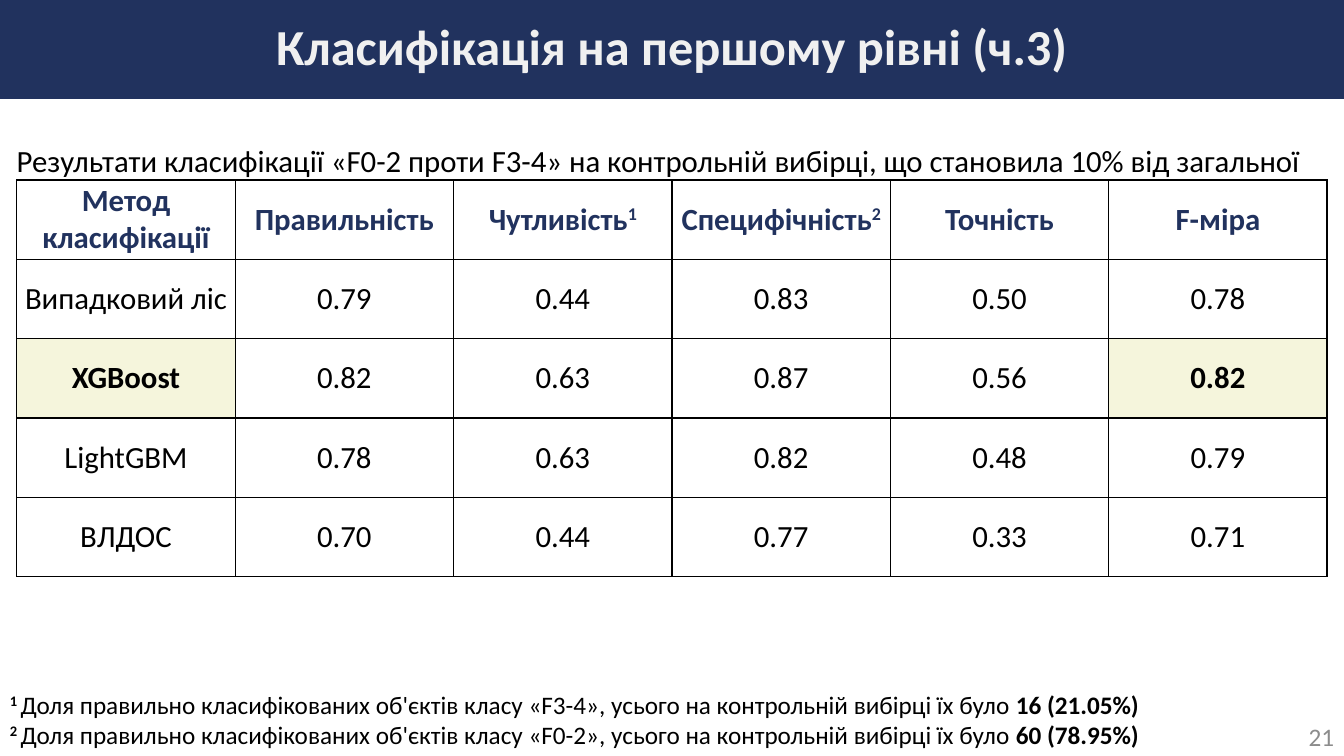
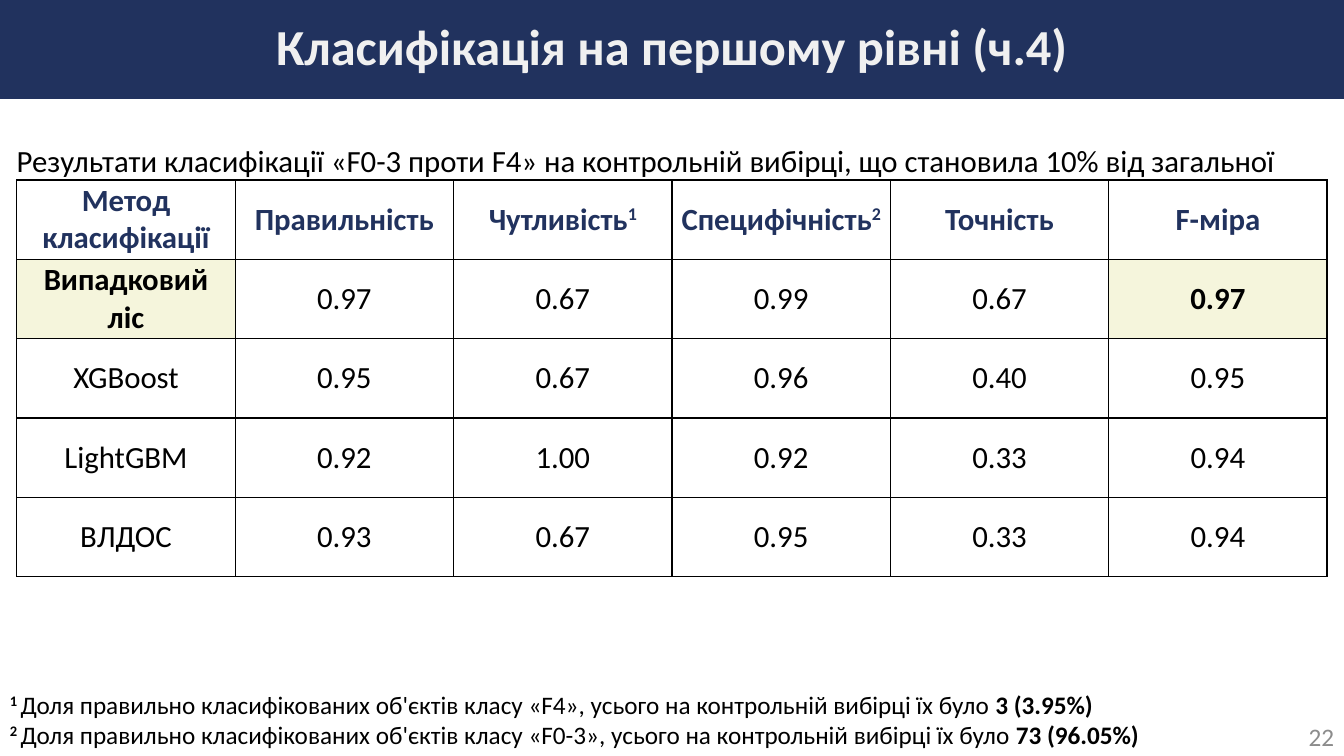
from dataclasses import dataclass

from lxml import etree
from pptx import Presentation, util as u
from pptx.dml.color import RGBColor
from pptx.enum import shapes, text
from pptx.oxml.ns import qn


@dataclass(frozen=True)
class Theme:
    font: str = "Calibri"
    navy: str = "21325E"
    pale: str = "F0F0F0"
    black: str = "000000"
    gray: str = "8C8C8C"
    beige: str = "F5F5DC"
    title_size: int = 36
    body_size: int = 22
    note_size: int = 18


THEME = Theme()
HEADER = ["Метод класифікації", "Правильність", "Чутливість^1",
          "Специфічність^2", "Точність", "F-міра"]
METHODS = ["Випадковий ліс", "XGBoost", "LightGBM", "ВЛДОС"]
SLIDES = [
    {
        "number": 21, "part": 3, "versus": "F0-2 проти F3-4", "best": "XGBoost",
        "scores": ["0.79 0.44 0.83 0.50 0.78", "0.82 0.63 0.87 0.56 0.82",
                   "0.78 0.63 0.82 0.48 0.79", "0.70 0.44 0.77 0.33 0.71"],
        "notes": [("F3-4", "16 (21.05%)"), ("F0-2", "60 (78.95%)")],
    },
    {
        "number": 22, "part": 4, "versus": "F0-3 проти F4", "best": "Випадковий ліс",
        "scores": ["0.97 0.67 0.99 0.67 0.97", "0.95 0.67 0.96 0.40 0.95",
                   "0.92 1.00 0.92 0.33 0.94", "0.93 0.67 0.95 0.33 0.94"],
        "notes": [("F4", "3 (3.95%)"), ("F0-3", "73 (96.05%)")],
    },
]

presentation = Presentation()
presentation.slide_width = u.Inches(40 / 3)
presentation.slide_height = u.Inches(7.5)
COLUMN = presentation.slide_width / 80
ROW = presentation.slide_height / 100


def grid(left, top, width, height):
    """Turn grid columns and rows into slide lengths."""
    return (u.Emu(round(left * COLUMN)), u.Emu(round(top * ROW)),
            u.Emu(round(width * COLUMN)), u.Emu(round(height * ROW)))


def write(paragraph, runs, size, color=THEME.black, align=text.PP_ALIGN.LEFT):
    """Fill a paragraph with (wording, bold, raised) runs."""
    paragraph.alignment = align
    for wording, bold, raised in runs:
        run = paragraph.add_run()
        run.text = wording
        formats = {"name": THEME.font, "size": u.Pt(size), "bold": bold}
        for name, value in formats.items():
            setattr(run.font, name, value)
        run.font.color.rgb = RGBColor.from_string(color)
        if raised:
            run._r.get_or_add_rPr().set("baseline", "30000")


for content in SLIDES:
    slide = presentation.slides.add_slide(presentation.slide_layouts[6])

    # Page number
    number = slide.shapes.add_textbox(*grid(62, 94.7, 18, 5.3)).text_frame
    number.word_wrap = True
    number.vertical_anchor = text.MSO_ANCHOR.MIDDLE
    write(number.paragraphs[0], [(str(content["number"]), False, False)],
          THEME.note_size, THEME.gray, text.PP_ALIGN.RIGHT)

    # Title band
    band = slide.shapes.add_shape(shapes.MSO_SHAPE.RECTANGLE, *grid(0, 0, 80, 13.1))
    band.shadow.inherit = False
    band.fill.solid()
    band.fill.fore_color.rgb = RGBColor.from_string(THEME.navy)
    band.line.fill.background()
    band.text_frame.vertical_anchor = text.MSO_ANCHOR.MIDDLE
    title = band.text_frame.paragraphs[0]
    title.line_spacing = 0.9
    write(title, [(f"Класифікація на першому рівні (ч.{content['part']})", True, False)],
          THEME.title_size, THEME.pale, text.PP_ALIGN.CENTER)

    # Footnotes
    notes = slide.shapes.add_textbox(*grid(0, 90.5, 75, 9.5)).text_frame
    notes.word_wrap = True
    for index, (group, count) in enumerate(content["notes"]):
        paragraph = notes.add_paragraph() if index else notes.paragraphs[0]
        sentence = (f"Доля правильно класифікованих об'єктів класу «{group}», "
                    "усього на контрольній вибірці їх було ")
        write(paragraph, [(f"{index + 1} ", True, True), (sentence, False, False),
                          (count, True, False)], THEME.note_size)

    # Results table
    rows = [HEADER] + [[method, *scores.split()]
                       for method, scores in zip(METHODS, content["scores"])]
    frame = slide.shapes.add_table(len(rows), len(HEADER),
                                   *grid(1, 23.8, 78, 10.5 * len(rows)))
    table = frame.table
    table.first_row = table.horz_banding = False
    for row_index, row in enumerate(rows):
        for column_index, wording in enumerate(row):
            cell = table.cell(row_index, column_index)
            is_header = row_index == 0
            is_best = row[0] == content["best"] and column_index in (0, len(row) - 1)
            formats = {"margin_left": u.Inches(0.07), "margin_right": u.Inches(0.07),
                       "margin_top": 0, "margin_bottom": 0,
                       "vertical_anchor": text.MSO_ANCHOR.MIDDLE}
            for name, value in formats.items():
                setattr(cell, name, value)
            properties = cell._tc.get_or_add_tcPr()
            for side in ("a:lnL", "a:lnR", "a:lnT", "a:lnB"):
                border = etree.SubElement(properties, qn(side), w=str(u.Pt(1)))
                fill = etree.SubElement(border, qn("a:solidFill"))
                etree.SubElement(fill, qn("a:srgbClr"), val=THEME.black)
            if is_best:
                cell.fill.solid()
                cell.fill.fore_color.rgb = RGBColor.from_string(THEME.beige)
            else:
                cell.fill.background()
            label, _, mark = wording.partition("^")
            bold = is_header or is_best
            runs = [(label, bold, False)] + ([(mark, bold, True)] if mark else [])
            write(cell.text_frame.paragraphs[0], runs, THEME.body_size,
                  THEME.navy if is_header else THEME.black, text.PP_ALIGN.CENTER)

    # Table caption
    caption = slide.shapes.add_textbox(*grid(1, 18.8, 78, 5)).text_frame
    caption.word_wrap = True
    for side in ("left", "top", "right", "bottom"):
        setattr(caption, f"margin_{side}", 0)
    sentence = (f"Результати класифікації «{content['versus']}» на контрольній вибірці, "
                "що становила 10% від загальної")
    write(caption.paragraphs[0], [(sentence, False, False)], THEME.body_size)

presentation.save("out.pptx")
